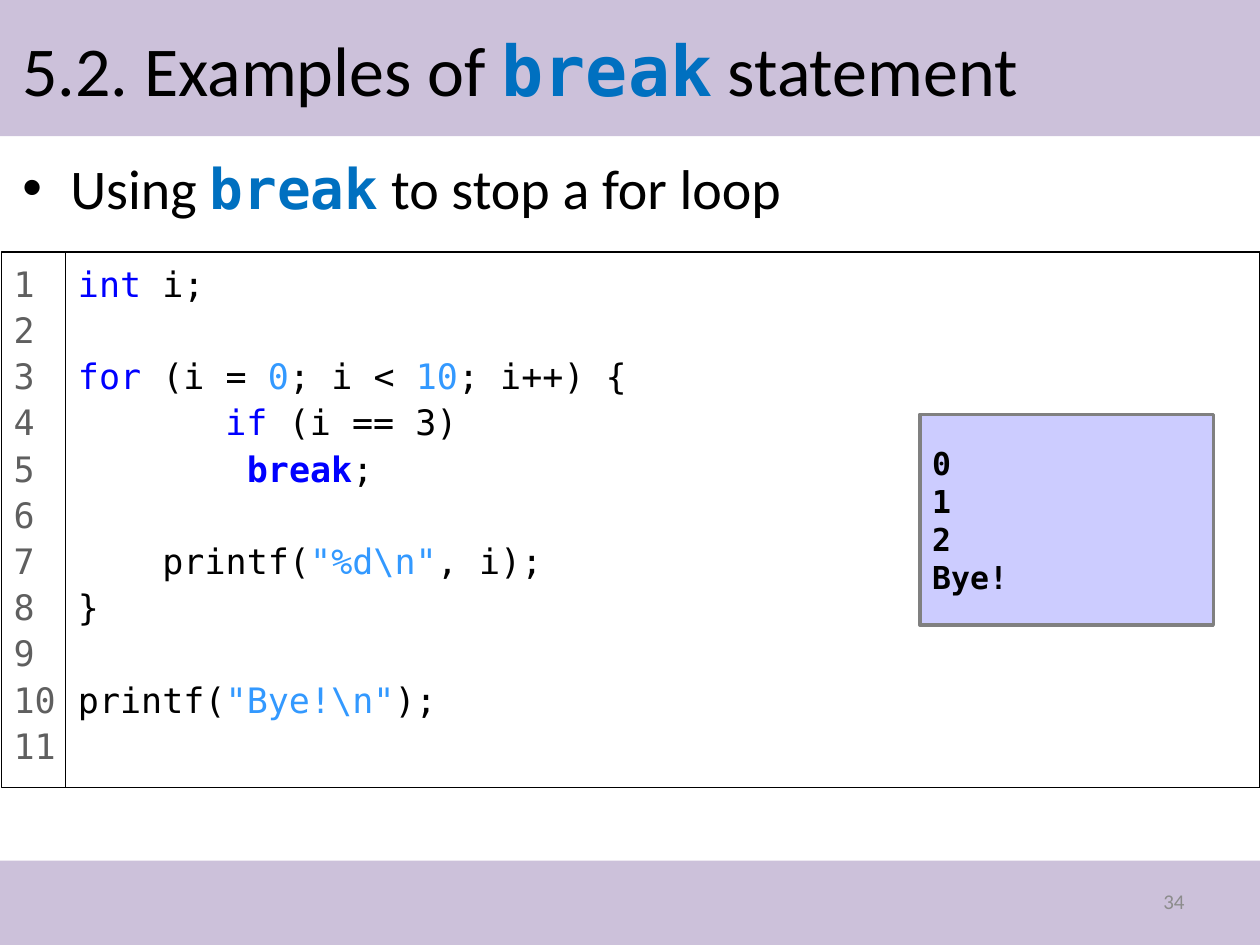
"""Build the slide on using break to stop a for loop."""
from dataclasses import dataclass
from typing import Optional

from lxml import etree
from pptx import Presentation
from pptx.dml.color import RGBColor
from pptx.enum.shapes import MSO_SHAPE
from pptx.enum.text import MSO_ANCHOR, PP_ALIGN
from pptx.oxml.ns import qn
from pptx.util import Inches, Pt

RECTANGLE = MSO_SHAPE.RECTANGLE
TOP, MIDDLE = MSO_ANCHOR.TOP, MSO_ANCHOR.MIDDLE
LEFT, RIGHT = PP_ALIGN.LEFT, PP_ALIGN.RIGHT


@dataclass(frozen=True)
class Theme:
    sans: str = "Calibri"
    mono: str = "DejaVu Sans Mono"
    black: str = "000000"
    white: str = "FFFFFF"
    band: str = "CCC1DA"
    accent: str = "0070C0"
    keyword: str = "0000FF"
    literal: str = "3399FF"
    line_number: str = "5F5F5F"
    page_number: str = "8C8C8C"
    output_fill: str = "CCCCFF"
    output_line: str = "808080"
    title_size: int = 40
    body_size: int = 32
    code_size: int = 20
    output_size: int = 18
    page_number_size: int = 12


THEME = Theme()


@dataclass(frozen=True)
class Area:
    left: float
    top: float
    width: float
    height: float

    def lengths(self) -> tuple:
        return tuple(Inches(n) for n in (self.left, self.top, self.width, self.height))


@dataclass(frozen=True)
class Span:
    text: str
    color: str = THEME.black
    bold: bool = False
    font: str = THEME.mono


def keyword(text: str, bold: bool = False) -> Span:
    return Span(text, THEME.keyword, bold)


def literal(text: str) -> Span:
    return Span(text, THEME.literal)


def sentence(before: str, after: str) -> list[Span]:
    return [Span(before, font=THEME.sans), Span("break", THEME.accent, True),
            Span(after, font=THEME.sans)]


CODE = [
    [keyword("int "), Span("i;")],
    [],
    [keyword("for"), Span(" (i = "), literal("0"), Span("; i < "), literal("10"),
     Span("; i++) {")],
    [Span("\t    "), keyword("if"), Span(" (i == 3)")],
    [Span("        "), keyword("break", bold=True), Span(";")],
    [],
    [Span("    printf("), literal('"%d\\n"'), Span(", i);")],
    [Span("}")],
    [],
    [Span("printf("), literal('"Bye!\\n"'), Span(");")],
]
LINE_NUMBERS = [[Span(str(n), THEME.line_number)] for n in range(1, 12)]
OUTPUT = [[Span(text, bold=True)] for text in ("0", "1", "2", "Bye!")]


def write(box, lines: list[list[Span]], *, size: int, anchor=TOP, align=LEFT,
          spacing: float = 1.0, right_inset: float = 0.1, bullet: bool = False,
          tab: Optional[float] = None) -> None:
    frame = box.text_frame
    frame.word_wrap = True
    frame.vertical_anchor = anchor
    frame.margin_right = Inches(right_inset)
    for index, spans in enumerate(lines):
        para = frame.paragraphs[0] if index == 0 else frame.add_paragraph()
        para.alignment = align
        para.line_spacing = spacing
        properties = para._p.get_or_add_pPr()
        if bullet:
            properties.set("marL", str(Inches(0.38)))
            properties.set("indent", str(-Inches(0.38)))
            etree.SubElement(properties, qn("a:buFont"), typeface="Arial")
            etree.SubElement(properties, qn("a:buChar"), char="•")
        if tab is not None:
            stops = etree.SubElement(properties, qn("a:tabLst"))
            etree.SubElement(stops, qn("a:tab"), pos=str(Inches(tab)), algn="l")
        for span in spans:
            run = para.add_run()
            run.text = span.text
            run.font.name = span.font
            run.font.size = Pt(size)
            run.font.bold = span.bold
            run.font.color.rgb = RGBColor.from_string(span.color)
        if not spans:
            ending = etree.SubElement(para._p, qn("a:endParaRPr"), sz=str(size * 100))
            etree.SubElement(ending, qn("a:latin"), typeface=THEME.mono)


def add_text(page, area: Area, lines: list[list[Span]], **text_format) -> None:
    write(page.shapes.add_textbox(*area.lengths()), lines, **text_format)


def add_panel(page, area: Area, fill: str, line: Optional[str] = None,
              line_width: float = 0.75):
    panel = page.shapes.add_shape(RECTANGLE, *area.lengths())
    panel.shadow.inherit = False
    panel.fill.solid()
    panel.fill.fore_color.rgb = RGBColor.from_string(fill)
    if line is None:
        panel.line.fill.background()
    else:
        panel.line.color.rgb = RGBColor.from_string(line)
        panel.line.width = Pt(line_width)
    return panel


def main() -> None:
    deck = Presentation()
    deck.slide_width, deck.slide_height = Inches(10), Inches(7.5)
    page = deck.slides.add_slide(deck.slide_layouts[6])

    add_panel(page, Area(0, 0, 10, 1.08), THEME.band)
    add_panel(page, Area(0, 6.83, 10, 0.67), THEME.band)
    add_text(page, Area(0.08, 0.08, 9, 0.92), [sentence("5.2. Examples of ", " statement")],
             size=THEME.title_size, anchor=MIDDLE)
    add_text(page, Area(0.08, 1.17, 9.77, 5.58),
             [sentence("Using ", " to stop a for loop")],
             size=THEME.body_size, bullet=True)
    add_text(page, Area(7.17, 6.95, 2.33, 0.4),
             [[Span("34", THEME.page_number, font=THEME.sans)]],
             size=THEME.page_number_size, anchor=MIDDLE, align=RIGHT)

    numbers = add_panel(page, Area(0.01, 2, 0.51, 4.25), THEME.white, THEME.black)
    write(numbers, LINE_NUMBERS, size=THEME.code_size, spacing=1.1, right_inset=0)
    code = add_panel(page, Area(0.52, 2, 9.48, 4.25), THEME.white, THEME.black)
    write(code, CODE, size=THEME.code_size, spacing=1.1, tab=0.5)
    output = add_panel(page, Area(7.3, 3.29, 2.33, 1.67), THEME.output_fill,
                       THEME.output_line, 2)
    write(output, OUTPUT, size=THEME.output_size, anchor=MIDDLE)

    deck.save("out.pptx")


if __name__ == "__main__":
    main()
